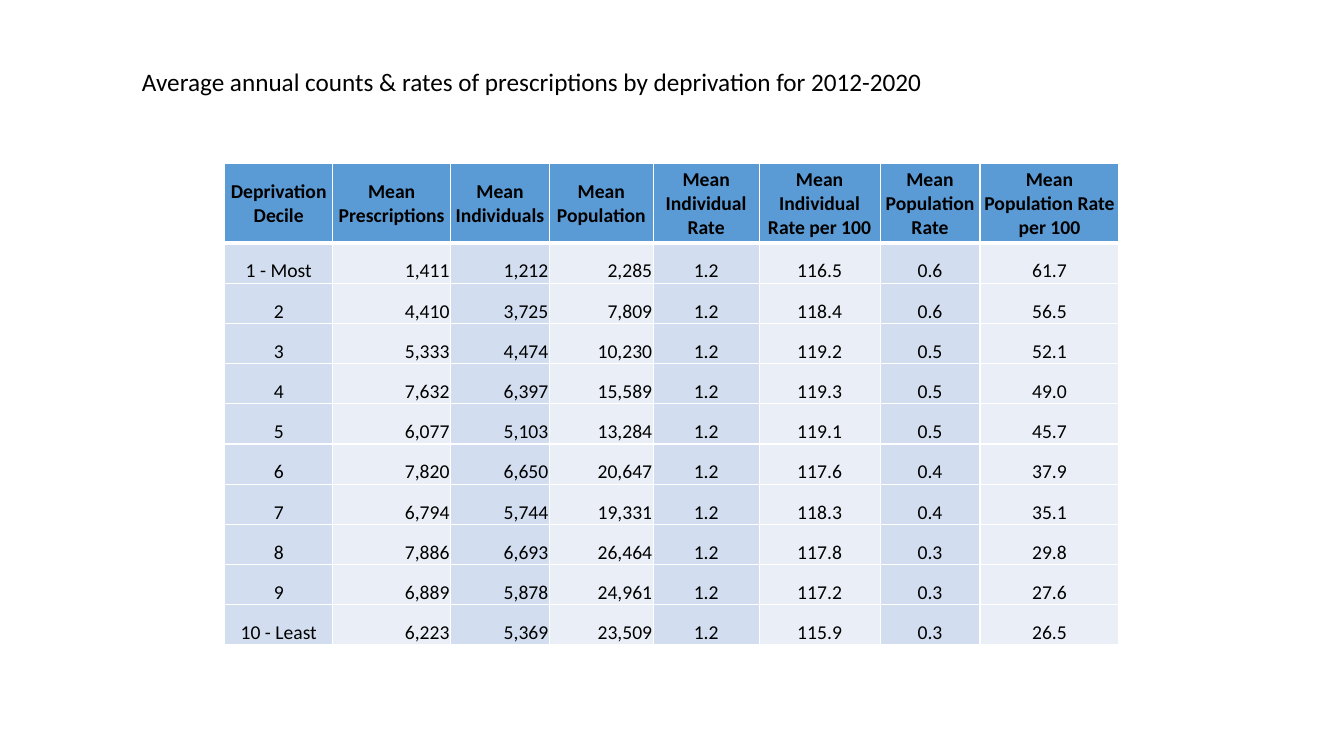
from lxml import etree
from pptx import Presentation
from pptx.dml.color import RGBColor
from pptx.enum.text import MSO_ANCHOR, MSO_AUTO_SIZE, PP_ALIGN
from pptx.oxml.ns import qn
from pptx.util import Inches, Pt

LEFT, CENTER, RIGHT = PP_ALIGN.LEFT, PP_ALIGN.CENTER, PP_ALIGN.RIGHT
MIDDLE, BOTTOM = MSO_ANCHOR.MIDDLE, MSO_ANCHOR.BOTTOM
FIT_SHAPE = MSO_AUTO_SIZE.SHAPE_TO_FIT_TEXT

FONT = "Calibri"
COLORS = {
    "text": "000000",
    "border": "FFFFFF",
    "header": "5B9BD5",
    "dark_band": "D2DEEF",
    "light_band": "EAEFF7",
}

TITLE = "Average annual counts & rates of prescriptions by deprivation for 2012-2020"
# Heading, width in inches, alignment of the values
COLUMNS = [
    ("Deprivation Decile", 1.07, CENTER),
    ("Mean Prescriptions", 1.17, RIGHT),
    ("Mean Individuals", 0.98, RIGHT),
    ("Mean Population", 1.03, RIGHT),
    ("Mean Individual Rate", 1.05, CENTER),
    ("Mean Individual Rate per 100", 1.2, CENTER),
    ("Mean Population Rate", 0.99, CENTER),
    ("Mean Population Rate per 100", 1.38, CENTER),
]
DECILES = [
    ("1 - Most", "1,411", "1,212", "2,285", "1.2", "116.5", "0.6", "61.7"),
    ("2", "4,410", "3,725", "7,809", "1.2", "118.4", "0.6", "56.5"),
    ("3", "5,333", "4,474", "10,230", "1.2", "119.2", "0.5", "52.1"),
    ("4", "7,632", "6,397", "15,589", "1.2", "119.3", "0.5", "49.0"),
    ("5", "6,077", "5,103", "13,284", "1.2", "119.1", "0.5", "45.7"),
    ("6", "7,820", "6,650", "20,647", "1.2", "117.6", "0.4", "37.9"),
    ("7", "6,794", "5,744", "19,331", "1.2", "118.3", "0.4", "35.1"),
    ("8", "7,886", "6,693", "26,464", "1.2", "117.8", "0.3", "29.8"),
    ("9", "6,889", "5,878", "24,961", "1.2", "117.2", "0.3", "27.6"),
    ("10 - Least", "6,223", "5,369", "23,509", "1.2", "115.9", "0.3", "26.5"),
]
HEADER_HEIGHT = 0.79


def write_text(text_frame, text, size=14, bold=False, align=LEFT):
    paragraph = text_frame.paragraphs[0]
    paragraph.alignment = align
    run = paragraph.add_run()
    run.text = text
    run.font.name = FONT
    run.font.size = Pt(size)
    run.font.bold = bold
    run.font.color.rgb = RGBColor.from_string(COLORS["text"])


def add_borders(cell, top=1, bottom=1):
    """Draw the cell's four sides; widths are in points."""
    properties = cell._tc.get_or_add_tcPr()
    for side, width in (("L", 1), ("R", 1), ("T", top), ("B", bottom)):
        line = etree.SubElement(properties, qn(f"a:ln{side}"), w=str(Pt(width)))
        fill = etree.SubElement(line, qn("a:solidFill"))
        etree.SubElement(fill, qn("a:srgbClr"), val=COLORS["border"])


def format_cell(cell, text, color, anchor, top=1, bottom=1, **text_format):
    cell.margin_left = cell.margin_right = cell.margin_top = Inches(0.01)
    cell.margin_bottom = 0
    cell.vertical_anchor = anchor
    add_borders(cell, top, bottom)
    cell.fill.solid()
    cell.fill.fore_color.rgb = RGBColor.from_string(COLORS[color])
    write_text(cell.text_frame, text, **text_format)


def add_title(slide, left, top, width, height):
    box = slide.shapes.add_textbox(
        Inches(left), Inches(top), Inches(width), Inches(height))
    box.text_frame.word_wrap = True
    box.text_frame.auto_size = FIT_SHAPE
    write_text(box.text_frame, TITLE, size=18)


def add_decile_table(slide, left, top, width, height):
    table = slide.shapes.add_table(
        len(DECILES) + 1, len(COLUMNS),
        Inches(left), Inches(top), Inches(width), Inches(height)).table
    table.horz_banding = False
    table.vert_banding = True

    row_height = (height - HEADER_HEIGHT) / len(DECILES)
    for index, row in enumerate(table.rows):
        row.height = Inches(row_height if index else HEADER_HEIGHT)

    for column, (heading, column_width, align) in enumerate(COLUMNS):
        table.columns[column].width = Inches(column_width)
        format_cell(table.cell(0, column), heading, "header", MIDDLE,
                    bottom=3, bold=True, align=CENTER)
        band = "light_band" if column % 2 else "dark_band"
        for row, values in enumerate(DECILES, start=1):
            format_cell(table.cell(row, column), values[column], band, BOTTOM,
                        top=3 if row == 1 else 1, align=align)


def main():
    presentation = Presentation()
    presentation.slide_width = Inches(13.33)
    presentation.slide_height = Inches(7.5)
    slide = presentation.slides.add_slide(presentation.slide_layouts[6])
    add_title(slide, 1.31, 0.61, 10.72, 0.4)
    add_decile_table(slide, 2.23, 1.62, 8.87, 4.78)
    presentation.save("out.pptx")


if __name__ == "__main__":
    main()
